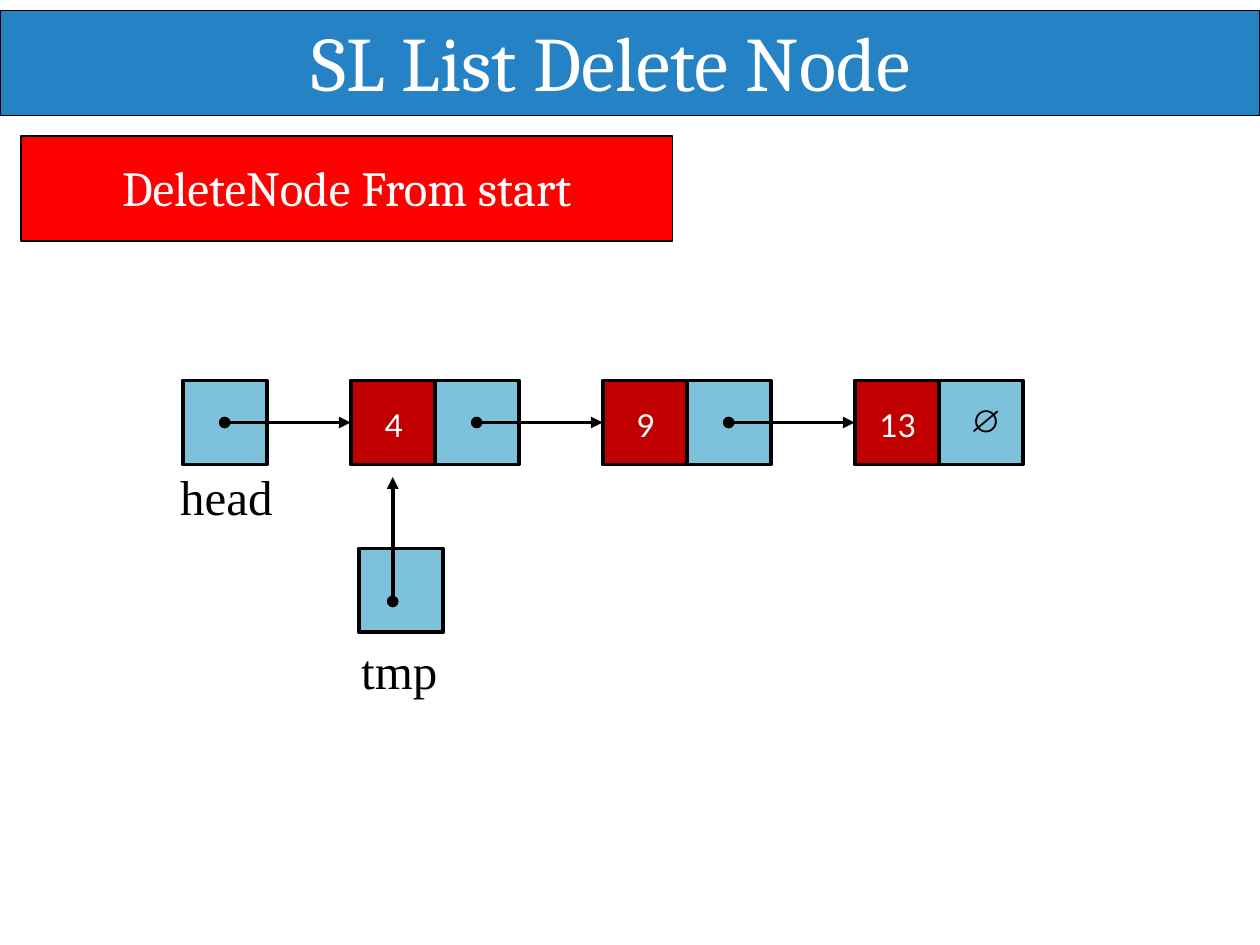
from lxml import etree
from pptx import Presentation
from pptx import util as u
from pptx.dml.color import RGBColor
from pptx.enum import shapes, text
from pptx.oxml import ns

WHITE = RGBColor(0xFF, 0xFF, 0xFF)
BLACK = RGBColor(0x00, 0x00, 0x00)
BLUE = RGBColor(0x25, 0x83, 0xC5)
RED = RGBColor(0xFF, 0x00, 0x00)
DARK_RED = RGBColor(0xC0, 0x00, 0x00)
SKY = RGBColor(0x7E, 0xC1, 0xDB)

WIDTH, HEIGHT = 10, 7.5
CELL = WIDTH / 15
LEFT, CENTER, RIGHT = text.PP_ALIGN.LEFT, text.PP_ALIGN.CENTER, text.PP_ALIGN.RIGHT


def inches(*lengths):
    return [u.Inches(length) for length in lengths]


def prepare_frame(box, inset_left=0, inset_top=0):
    frame = box.text_frame
    frame.word_wrap = True
    frame.vertical_anchor = text.MSO_ANCHOR.TOP
    frame.margin_left, frame.margin_top = inches(inset_left, inset_top)
    frame.margin_right = frame.margin_bottom = 0
    return frame


def write(para, words, font, size, color, align=LEFT):
    para.alignment = align
    span = para.add_run()
    span.text = words
    span.font.name = font
    span.font.size = u.Pt(size)
    span.font.color.rgb = color


def add_box(page, area, fill, line_width):
    box = page.shapes.add_shape(shapes.MSO_SHAPE.RECTANGLE, *inches(*area))
    box.shadow.inherit = False
    box.fill.solid()
    box.fill.fore_color.rgb = fill
    box.line.color.rgb = BLACK
    box.line.width = u.Pt(line_width)
    return box


def add_pointer(page, start, end):
    """Line with a dot at its start and an arrowhead at its end."""
    pointer = page.shapes.add_connector(
        shapes.MSO_CONNECTOR.STRAIGHT, *inches(*start, *end))
    pointer.line.color.rgb = BLACK
    pointer.line.width = u.Pt(2.25)
    outline = pointer.line._get_or_add_ln()
    for tag, kind in (("a:headEnd", "oval"), ("a:tailEnd", "triangle")):
        etree.SubElement(outline, ns.qn(tag), type=kind, w="med", len="med")
    etree.SubElement(pointer._element.spPr, ns.qn("a:effectLst"))


def add_title(page, left, top, width, height):
    add_box(page, (left, top, width, height), BLUE, 0.75)
    title = page.shapes.add_textbox(
        *inches(left + 0.094 * width, top + 0.02, 0.812 * width, 0.76))
    frame = prepare_frame(title, 1.53, 0.01)
    write(frame.paragraphs[0], "SL List Delete Node", "Cambria", 44, WHITE)


def add_subtitle(page, left, top, width, height):
    box = add_box(page, (left, top, width, height), RED, 0.75)
    frame = prepare_frame(box, inset_top=0.17)
    write(frame.paragraphs[0], "DeleteNode From start", "Cambria", 28, WHITE, CENTER)


def add_linked_list(page, left, top, values):
    """Place head, tmp and the nodes on a grid of square cells."""
    def at(column, row):
        return left + column * CELL, top + row * CELL

    def add_cell(column, row, fill):
        return add_box(page, (*at(column, row), CELL, CELL), fill, 2.25)

    node_columns = [2 + 3 * index for index in range(len(values))]
    add_cell(0, 0, SKY)
    add_cell(2.1, 2, SKY)
    for column, value in zip(node_columns, values):
        link = add_cell(column + 1, 0, SKY)
        data = prepare_frame(add_cell(column, 0, DARK_RED), 0.02, 0.2)
        write(data.paragraphs[0], value, "Lato", 18, WHITE, CENTER)
    end_mark = prepare_frame(link, 0.25, 0.16)
    write(end_mark.paragraphs[0], "∅", "Arial", 18, BLACK)

    for column in node_columns:
        source = 0.5 if column == 2 else column - 1.5
        add_pointer(page, at(source, 0.5), at(column, 0.5))
    add_pointer(page, at(2.5, 2.63), at(2.5, 1.15))

    labels = page.shapes.add_textbox(*inches(left - 0.03, top + 0.67, 2.05, 1.84))
    frame = prepare_frame(labels, 0.01, 0.01)
    write(frame.paragraphs[0], "head", "Times New Roman", 28, BLACK)
    tmp = frame.add_paragraph()
    tmp.space_before = u.Pt(66)
    write(tmp, "tmp", "Times New Roman", 28, BLACK, RIGHT)


def main():
    deck = Presentation()
    deck.slide_width, deck.slide_height = inches(WIDTH, HEIGHT)
    page = deck.slides.add_slide(deck.slide_layouts[6])
    add_title(page, 0, HEIGHT / 90, WIDTH, HEIGHT / 9)
    add_subtitle(page, WIDTH / 60, 0.144 * HEIGHT, 0.517 * WIDTH, HEIGHT / 9)
    add_linked_list(page, 1.45, 3.02, ["4", "9", "13"])
    deck.save("out.pptx")


if __name__ == "__main__":
    main()
